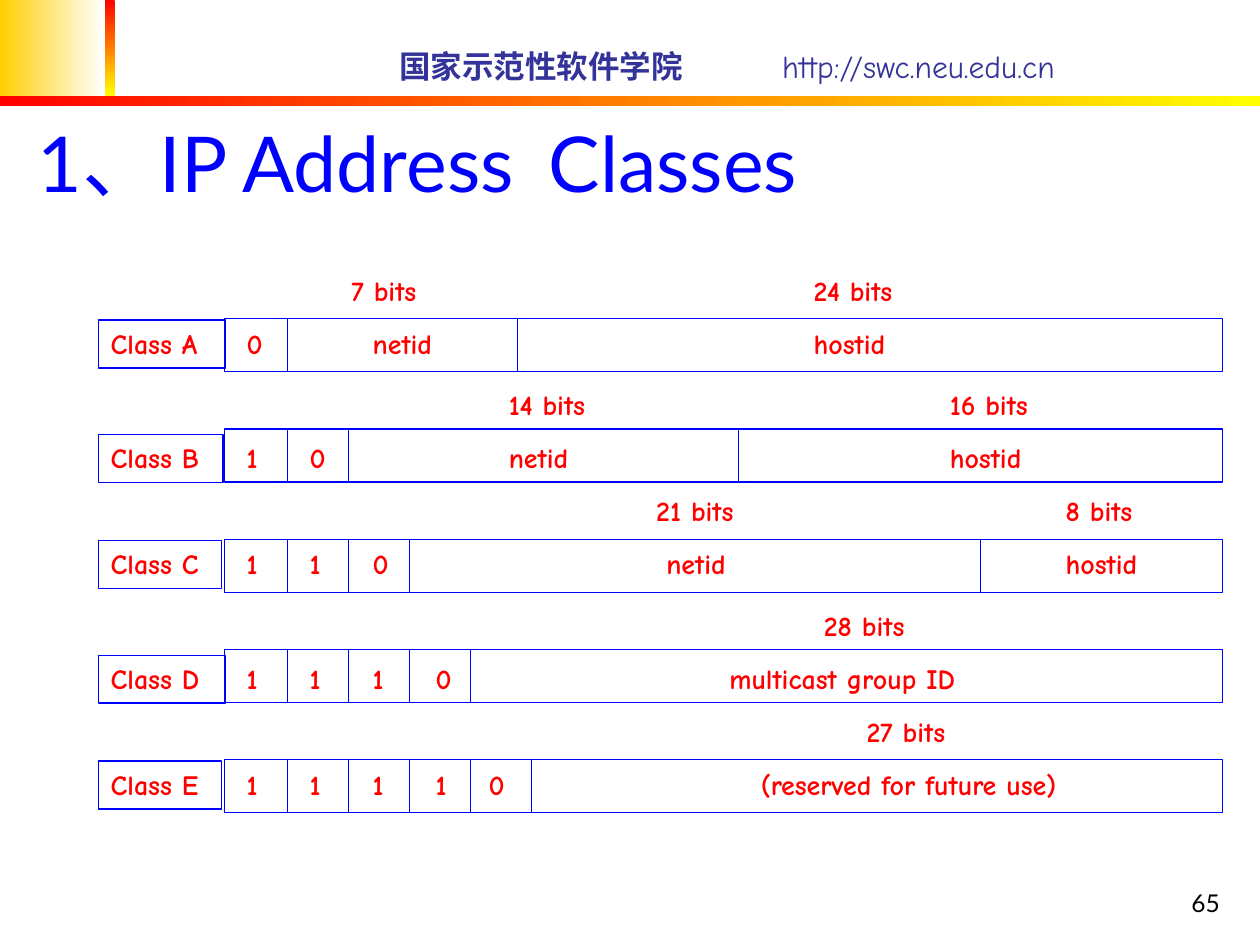
from lxml import etree
from pptx import Presentation, util as u
from pptx.dml.color import RGBColor
from pptx.enum import shapes, text
from pptx.oxml import ns

Inches = u.Inches
RED, BLUE, NAVY = "FF0000", "0000FF", "333399"
COMIC, LATO = "Comic Neue", "Lato"


def color(value):
    return RGBColor.from_string(value)


def write(box, content, size, face, ink, bold=False):
    span = box.text_frame.paragraphs[0].add_run()
    span.text = content
    span.font.size = u.Pt(size)
    span.font.name = face
    span.font.bold = bold
    span.font.color.rgb = color(ink)
    return span


deck = Presentation()
deck.slide_width, deck.slide_height = Inches(10), Inches(7.5)
page = deck.slides.add_slide(deck.slide_layouts[5])

bands = [
    (0, 0, 0.83, 0.76, "FFCF01", "FFFFFF", 0),
    (0.83, 0, 0.08, 0.76, RED, "FFFF00", 270),
    (0, 0.76, 10, 0.08, RED, "FFFF00", 0),
]
for left, top, width, height, start, end, angle in bands:
    band = page.shapes.add_shape(
        shapes.MSO_SHAPE.RECTANGLE, Inches(left), Inches(top), Inches(width), Inches(height))
    band.shadow.inherit = False
    band.line.fill.background()
    band.fill.gradient()
    band.fill.gradient_angle = angle
    for stop, shade in zip(band.fill.gradient_stops, (start, end)):
        stop.color.rgb = color(shade)

header = page.shapes.add_textbox(Inches(3.07), Inches(0.32), Inches(6.93), Inches(0.4))
header.text_frame.word_wrap = True
header.text_frame.vertical_anchor = text.MSO_ANCHOR.MIDDLE
properties = header.text_frame.paragraphs[0]._p.get_or_add_pPr()
tabs = etree.SubElement(properties, ns.qn("a:tabLst"))
etree.SubElement(tabs, ns.qn("a:tab"), pos=str(Inches(3.04)), algn="l")
write(header, "国家示范性软件学院", 18, COMIC, NAVY, True)
write(header, "\thttp://swc.neu.edu.cn", 18, COMIC, NAVY)

title = page.shapes.title
title.left, title.top, title.width, title.height = Inches(0.2), Inches(0.56), Inches(9.53), Inches(1.14)
title.text_frame.auto_size = text.MSO_AUTO_SIZE.NONE
title.text_frame.vertical_anchor = text.MSO_ANCHOR.BOTTOM
title.text_frame.paragraphs[0].alignment = text.PP_ALIGN.LEFT
write(title, "1、IP Address", 44, LATO, BLUE)
gap = write(title, " ", 44, LATO, BLUE)
gap.font._element.set("spc", "850")
write(title, "Classes", 44, LATO, BLUE)

number = page.shapes.add_textbox(Inches(7.7), Inches(6.83), Inches(2.08), Inches(0.5))
number.text_frame.word_wrap = True
number.text_frame.vertical_anchor = text.MSO_ANCHOR.BOTTOM
number.text_frame.paragraphs[0].alignment = text.PP_ALIGN.RIGHT
write(number, "65", 14, LATO, "000000")

classes = [
    ("A", 2.54, 1.01, "0", 4.11,
     [("netid", 2.86, "7 bits", 2.69), ("hostid", 6.36, "24 bits", 6.36)]),
    ("B", 3.45, 0.99, "10", 5.86,
     [("netid", 3.94, "14 bits", 3.94), ("hostid", 7.44, "16 bits", 7.44)]),
    ("C", 4.29, 0.98, "110", 7.78,
     [("netid", 5.19, "21 bits", 5.11), ("hostid", 8.36, "8 bits", 8.36)]),
    ("D", 5.2, 1.01, "1110", None, [("multicast group ID", 5.69, "28 bits", 6.44)]),
    ("E", 6.04, 0.98, "11110", None, [("(reserved for future use)", 5.94, "27 bits", 6.78)]),
]
for row, (letter, label_top, name_width, prefix, host_edge, fields) in enumerate(classes):
    row_top = 2.53 + 0.875 * row
    frame = (1.78, row_top, 7.92, 0.42, None)
    name = (0.78, label_top, name_width, 0.38, f"Class {letter}")
    for left, top, width, height, caption in (frame, name):
        cell = page.shapes.add_shape(
            shapes.MSO_SHAPE.RECTANGLE, Inches(left), Inches(top), Inches(width), Inches(height))
        cell.shadow.inherit = False
        cell.fill.background()
        cell.line.color.rgb = color(BLUE)
        cell.line.width = u.Pt(0.75)
        if caption:
            cell.text_frame.word_wrap = False
            cell.text_frame.vertical_anchor = text.MSO_ANCHOR.TOP
            cell.text_frame.paragraphs[0].alignment = text.PP_ALIGN.LEFT
            write(cell, caption, 16, COMIC, RED, True)

    edges = [2.28 + 0.485 * place for place in range(len(prefix))]
    if host_edge:
        edges.append(host_edge)
    for edge in edges:
        divider = page.shapes.add_connector(
            shapes.MSO_CONNECTOR.STRAIGHT,
            Inches(edge), Inches(row_top), Inches(edge), Inches(row_top + 0.42))
        divider.line.color.rgb = color(BLUE)
        divider.line.width = u.Pt(0.75)
        etree.SubElement(divider._element.spPr, ns.qn("a:effectLst"))

    labels = [(bit, 1.86 + 0.5 * place if place < 4 else 3.78, label_top, 0.34)
              for place, bit in enumerate(prefix)]
    for field, field_left, bits, bits_left in fields:
        labels.append((field, field_left, label_top, 0.3 + 0.1 * len(field)))
        labels.append((bits, bits_left, label_top - 0.42, 0.98))
    for content, left, top, width in labels:
        label = page.shapes.add_textbox(Inches(left), Inches(top), Inches(width), Inches(0.37))
        label.text_frame.word_wrap = False
        label.text_frame.auto_size = text.MSO_AUTO_SIZE.SHAPE_TO_FIT_TEXT
        write(label, content, 16, COMIC, RED, True)

deck.save("out.pptx")
